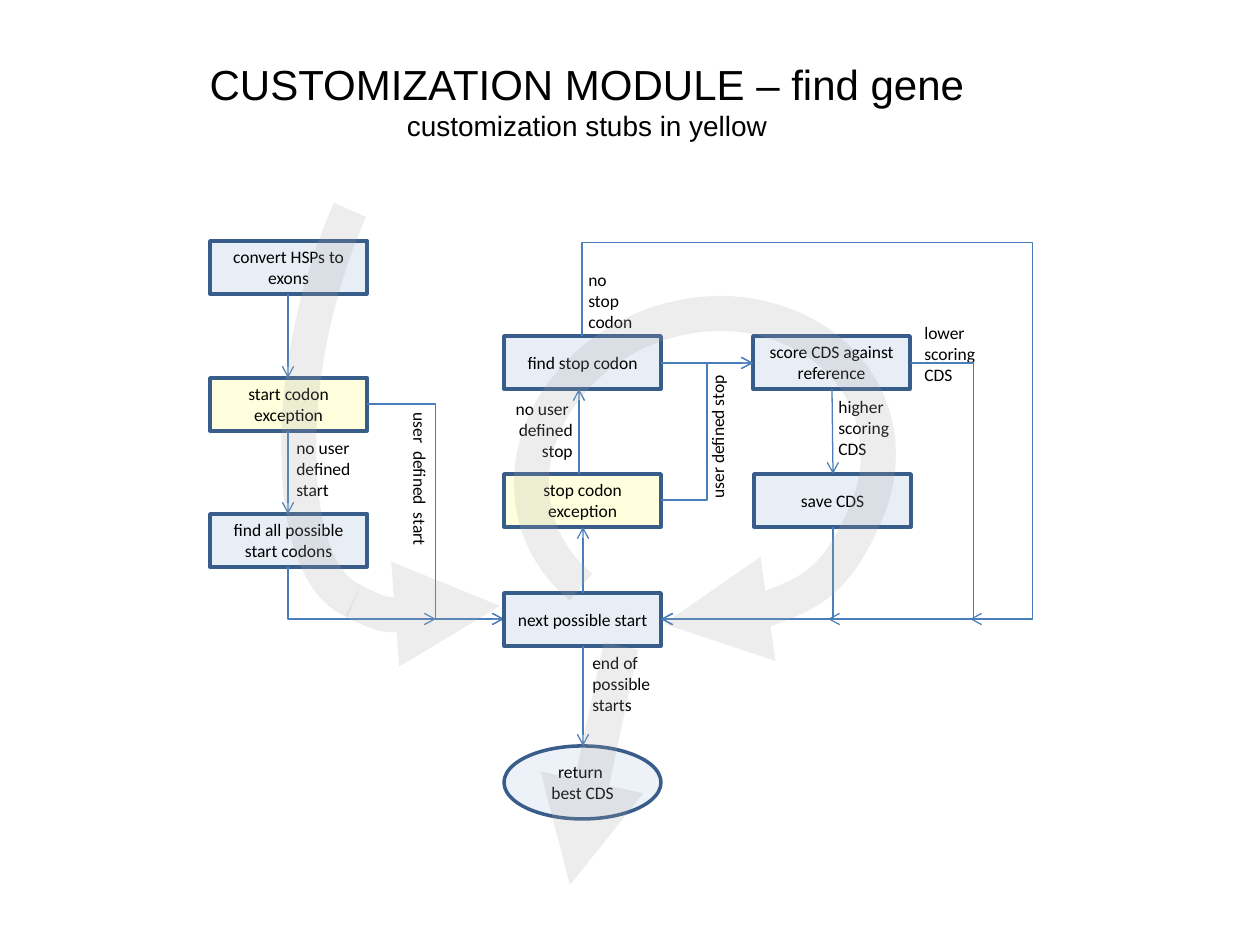
from dataclasses import dataclass
from math import cos, radians, sin

from lxml.etree import SubElement
from pptx import Presentation
from pptx.dml.color import RGBColor
from pptx.enum.shapes import MSO_CONNECTOR, MSO_SHAPE
from pptx.enum.text import MSO_ANCHOR, MSO_AUTO_SIZE, PP_ALIGN
from pptx.oxml.ns import qn
from pptx.util import Emu, Pt

SCALE = 914400 / 126  # EMU in one px


@dataclass(frozen=True)
class Theme:
    text: str = "000000"
    step: str = "4F81BD"
    stub: str = "FFFF00"
    border: str = "385D8A"
    link: str = "4A7EBB"
    sweep: str = "A6A6A6"
    title_font: str = "Arial"
    body_font: str = "Calibri"
    title_size: int = 24
    subtitle_size: int = 16
    body_size: int = 10


THEME = Theme()
BOX_W, BOX_H = 157, 53
MID_X, MID_Y = 79, 27


def px(value):
    return Emu(round(value * SCALE))


def color(fill, value, alpha=None):
    """Set a solid colour, with opacity in percent if given."""
    fill.solid()
    fill.fore_color.rgb = RGBColor.from_string(value)
    if alpha:
        tone = fill._xPr.find(qn("a:solidFill"))[0]
        SubElement(tone, qn("a:alpha"), val=str(alpha * 1000))


def style_line(shape, value, width, head=None, alpha=None):
    color(shape.line.fill, value, alpha)
    shape.line.width = Pt(width)
    if head:
        SubElement(shape.line._get_or_add_ln(), qn("a:tailEnd"), type=head)


def style_text(para, size, font, align):
    para.alignment = align
    formats = {"size": Pt(size), "name": font, "bold": False}
    for name, value in formats.items():
        setattr(para.font, name, value)
    para.font.color.rgb = RGBColor.from_string(THEME.text)


def write(shape, text, align, anchor):
    frame = shape.text_frame
    frame.text = text
    for name, value in {"word_wrap": True, "vertical_anchor": anchor}.items():
        setattr(frame, name, value)
    for para in frame.paragraphs:
        style_text(para, THEME.body_size, THEME.body_font, align)


@dataclass
class Region:
    """Places parts relative to its left top corner."""
    page: object
    left: int
    top: int

    def at(self, x, y):
        return px(self.left + x), px(self.top + y)

    def step(self, x, y, text, fill=THEME.step, kind=MSO_SHAPE.RECTANGLE,
             height=BOX_H, alpha=13):
        shape = self.page.shapes.add_shape(kind, *self.at(x, y), px(BOX_W), px(height))
        shape.shadow.inherit = False
        color(shape.fill, fill, alpha)
        style_line(shape, THEME.border, 2)
        write(shape, text, PP_ALIGN.CENTER, MSO_ANCHOR.MIDDLE)

    def label(self, x, y, width, text, align=PP_ALIGN.LEFT, turn=0, height=76):
        box = self.page.shapes.add_textbox(*self.at(x, y), px(width), px(height))
        box.rotation = turn
        write(box, text, align, MSO_ANCHOR.TOP)

    def connect(self, kind, start, end):
        line = self.page.shapes.add_connector(kind, *self.at(*start), *self.at(*end))
        SubElement(line._element.spPr, qn("a:effectLst"))
        return line

    def arrow(self, start, end):
        line = self.connect(MSO_CONNECTOR.STRAIGHT, start, end)
        style_line(line, THEME.link, 0.75, "arrow")

    def elbow(self, start, end, bends=3, turn=0, adjust=()):
        """Bent arrow; a turned one is laid out flat, then rotated."""
        center = [(a + b) / 2 for a, b in zip(start, end)]
        c, s = round(cos(radians(turn))), round(sin(radians(turn)))

        def flat(point):
            dx, dy = point[0] - center[0], point[1] - center[1]
            return center[0] + c * dx + s * dy, center[1] - s * dx + c * dy

        line = self.connect(MSO_CONNECTOR.ELBOW, flat(start), flat(end))
        properties = line._element.spPr
        if turn:
            properties.find(qn("a:xfrm")).set("rot", str(turn * 60000))
        shape_kind = properties.find(qn("a:prstGeom"))
        shape_kind.set("prst", f"bentConnector{bends}")
        guides = shape_kind.find(qn("a:avLst"))
        if guides is None:
            guides = SubElement(shape_kind, qn("a:avLst"))
        for number, value in enumerate(adjust, 1):
            SubElement(guides, qn("a:gd"), name=f"adj{number}",
                       fmla=f"val {round(value * 100000)}")
        style_line(line, THEME.link, 0.75, "arrow")

    def sweep(self, points, head=None):
        """Wide pale curve; each three points after the first end one segment."""
        builder = self.page.shapes.build_freeform(*self.at(*points[0]), scale=1.0)
        builder.add_line_segments([self.at(*point) for point in points[1:]], close=False)
        shape = builder.convert_to_shape()
        outline = next(shape._element.iter(qn("a:path")))
        corners = outline.findall(qn("a:lnTo"))
        for first in range(0, len(corners), 3):
            curve = SubElement(outline, qn("a:cubicBezTo"))
            for corner in corners[first:first + 3]:
                curve.append(corner[0])
                outline.remove(corner)
        shape.shadow.inherit = False
        shape.fill.background()
        style_line(shape, THEME.sweep, 20, head, 20)


def draw_title(page, left, top, width, height):
    title = page.shapes.title
    place = {"left": left, "top": top, "width": width, "height": height}
    for name, value in place.items():
        setattr(title, name, px(value))
    frame = title.text_frame
    frame.text = "CUSTOMIZATION MODULE – find gene\ncustomization stubs in yellow"
    settings = {"word_wrap": False, "auto_size": MSO_AUTO_SIZE.NONE,
                "vertical_anchor": MSO_ANCHOR.TOP}
    for name, value in settings.items():
        setattr(frame, name, value)
    for para, size in zip(frame.paragraphs, (THEME.title_size, THEME.subtitle_size)):
        style_text(para, size, THEME.title_font, PP_ALIGN.CENTER)


def draw_start_search(page, left, top):
    region = Region(page, left, top)
    middle = 78
    steps = [(0, "convert HSPs to exons", THEME.step),
             (137, "start codon exception", THEME.stub),
             (273, "find all possible start codons", THEME.step)]
    for y, text, fill in steps:
        region.step(0, y, text, fill)
    for (above, *_), (below, *_) in zip(steps, steps[1:]):
        region.arrow((middle, above + BOX_H), (middle, below))
    region.label(74, 190, 136, "no user\ndefined\nstart")
    region.label(126, 221, 168, "user  defined  start", PP_ALIGN.CENTER, 90, 34)
    # Both ways lead to the next possible start
    region.elbow((middle, 326), (294, 378), bends=2, turn=270)
    region.elbow((BOX_W, 163), (294, 378), adjust=(0.5,))
    region.arrow((203, 378), (226, 378))


def draw_stop_loop(page, left, top):
    region = Region(page, left, top)
    for x, y, text, fill in [(0, 351, "next possible start", THEME.step),
                             (0, 232, "stop codon exception", THEME.stub),
                             (0, 94, "find stop codon", THEME.step),
                             (249, 94, "score CDS against reference", THEME.step),
                             (250, 232, "save CDS", THEME.step)]:
        region.step(x, y, text, fill)
    region.label(-24, 150, 105, "no user \ndefined\nstop", PP_ALIGN.RIGHT)
    region.label(322, 148, 81, "higher\nscoring\nCDS")
    region.label(408, 74, 88, "lower\nscoring\nCDS")
    region.label(72, 21, 73, "no stop codon")
    region.label(98, 178, 231, "user defined stop", PP_ALIGN.CENTER, 270, 34)
    # Forward steps
    for start, end in [((75, 232), (75, 147)), ((MID_X, 351), (MID_X, 285)),
                       ((328, 147), (329, 232))]:
        region.arrow(start, end)
    score = (249, 94 + MID_Y)
    region.elbow((BOX_W, 94 + MID_Y), score, adjust=(0.5,))
    region.elbow((BOX_W, 258), score, adjust=(0.5,))
    # Ways back to the next possible start
    level = 377
    back = (BOX_W, level)
    region.elbow((78, 94), back, bends=4, turn=270, adjust=(-0.33, 5.7))
    region.elbow((407, 121), back, bends=4, adjust=(-0.25, 1))
    region.elbow((329, 285), back, bends=2, turn=90)
    for tail, tip in [(359, 324), (503, 466)]:
        region.arrow((tail, level), (tip, level))


def draw_result(page, left, top):
    region = Region(page, left, top)
    region.step(0, 100, "return \nbest CDS", kind=MSO_SHAPE.OVAL, height=73, alpha=10)
    region.arrow((MID_X, 0), (MID_X, 100))
    region.label(76, 0, 90, "end of\npossible\nstarts")


def draw_sweeps(page, left, top):
    region = Region(page, left, top)
    # Round the stop codon loop
    region.sweep([(301, 387), (240, 337), (235, 250), (288, 186), (341, 120), (436, 95),
                  (511, 128), (586, 160), (618, 238), (586, 313), (554, 387), (468, 435),
                  (384, 424)], "triangle")
    # Down the start search and into the loop
    region.sweep([(70, 10), (38, 82), (17, 174), (19, 254), (19, 332), (40, 388), (74, 401)])
    region.sweep([(73, 401), (112, 420), (166, 421), (220, 406)], "triangle")
    # Out to the result
    line = region.connect(MSO_CONNECTOR.STRAIGHT, (341, 446), (290, 685))
    style_line(line, THEME.sweep, 20, "triangle", 20)


def main():
    deck = Presentation()
    deck.slide_width, deck.slide_height = px(1260), px(945)
    page = deck.slides.add_slide(deck.slide_layouts[5])
    draw_title(page, 195, 52, 784, 97)
    draw_start_search(page, 210, 241)
    draw_stop_loop(page, 504, 242)
    draw_result(page, 504, 646)
    draw_sweeps(page, 280, 200)
    deck.save("out.pptx")


if __name__ == "__main__":
    main()
